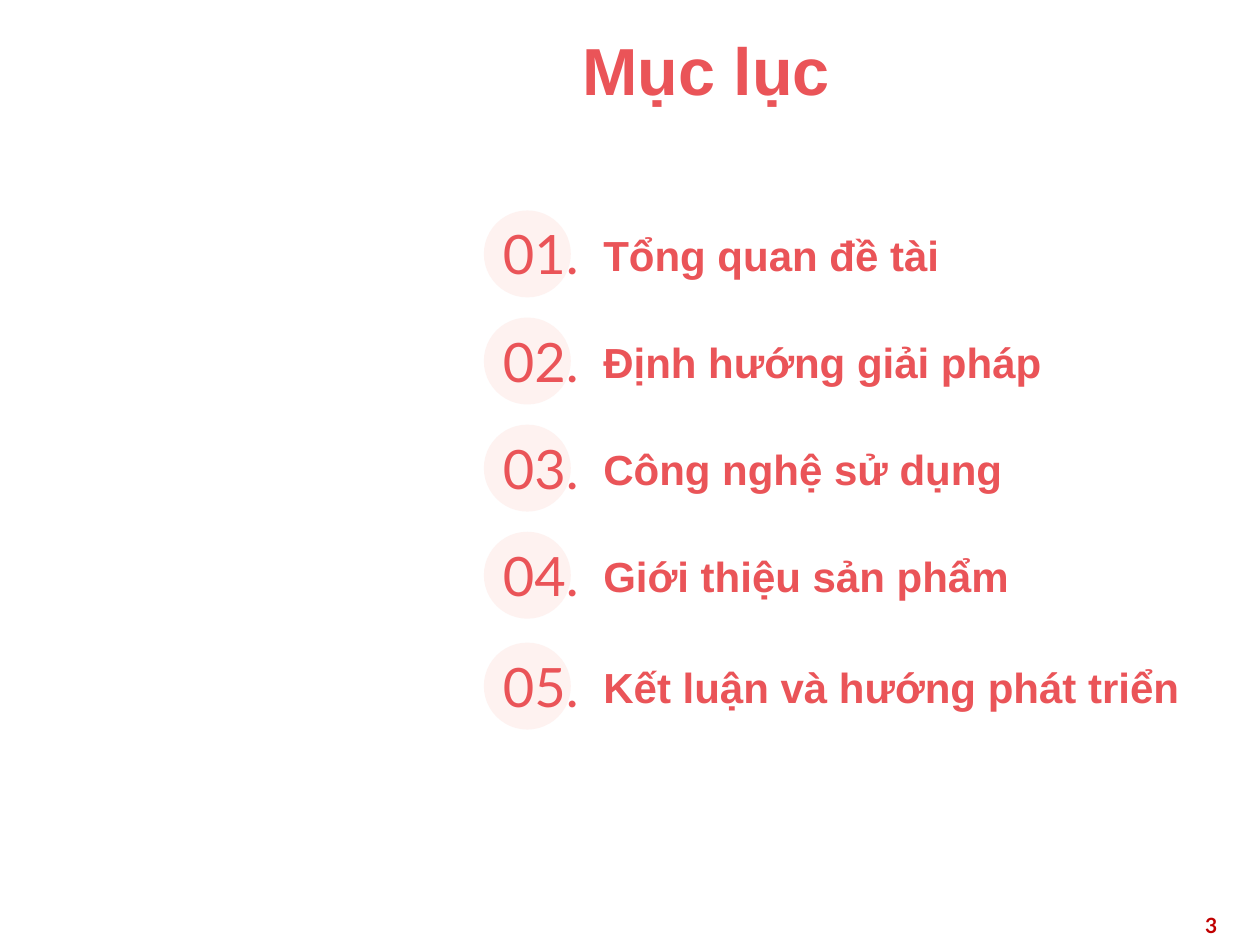
from dataclasses import dataclass

from pptx import Presentation
from pptx.dml.color import RGBColor
from pptx.enum.shapes import MSO_SHAPE
from pptx.enum.text import MSO_ANCHOR, PP_ALIGN
from pptx.util import Emu, Pt

PX = 9144


@dataclass(frozen=True)
class Theme:
    """Colours, fonts and type sizes of the deck."""
    accent: str = "EA5458"
    disc: str = "FEF2F0"
    page: str = "C00000"
    heading_font: str = "Arial"
    number_font: str = "Lato"
    title_size: int = 38
    number_size: int = 31
    label_size: int = 24
    page_size: int = 12


THEME = Theme()
TITLE = {"size": Pt(THEME.title_size), "name": THEME.heading_font, "bold": True}
LABEL = {"size": Pt(THEME.label_size), "name": THEME.heading_font, "bold": True}
NUMBER = {"size": Pt(THEME.number_size), "name": THEME.number_font, "bold": False}
PAGE = {"size": Pt(THEME.page_size), "name": THEME.number_font, "bold": True}

ROW_LEFT, ROW_TOP, ROW_STEP, ROW_HEIGHT = 365, 167, 85, 69
LAST_ROW_SHIFT = 3
ENTRIES = [
    ("Tổng quan đề tài", 570),
    ("Định hướng giải pháp", 570),
    ("Công nghệ sử dụng", 570),
    ("Giới thiệu sản phẩm", 570),
    ("Kết luận và hướng phát triển", 616),
]


def emu(box):
    """Turn a box in px into EMU lengths."""
    return [Emu(v * PX) for v in box]


def add_text(slide, box, text, font, color=THEME.accent, align=PP_ALIGN.LEFT,
             anchor=MSO_ANCHOR.TOP, inset=10):
    """Place one line of formatted text in the box."""
    tf = slide.shapes.add_textbox(*emu(box)).text_frame
    frame = {
        "word_wrap": True,
        "vertical_anchor": anchor,
        "margin_left": Emu(10 * PX),
        "margin_right": Emu(10 * PX),
        "margin_top": Emu(inset * PX),
        "margin_bottom": Emu(inset * PX),
    }
    for key, value in frame.items():
        setattr(tf, key, value)
    p = tf.paragraphs[0]
    p.alignment = align
    r = p.add_run()
    r.text = text
    for key, value in font.items():
        setattr(r.font, key, value)
    r.font.color.rgb = RGBColor.from_string(color)


def add_entry(slide, box, number, label):
    """Draw one contents row: disc, number and label."""
    left, top, width, height = box
    sp = slide.shapes.add_shape(MSO_SHAPE.OVAL, *emu((left + 19, top, height, height)))
    sp.shadow.inherit = False
    sp.fill.solid()
    sp.fill.fore_color.rgb = RGBColor.from_string(THEME.disc)
    sp.line.fill.background()
    add_text(slide, (left + 104, top + 7, width - 104, 56), label, LABEL,
             anchor=MSO_ANCHOR.MIDDLE)
    add_text(slide, (left, top + 6, 104, 56), f"{number:02d}.", NUMBER,
             align=PP_ALIGN.RIGHT, anchor=MSO_ANCHOR.MIDDLE)


def add_contents(slide, left, top):
    """Stack the contents rows downwards from the given corner."""
    for i, (label, width) in enumerate(ENTRIES):
        shift = LAST_ROW_SHIFT if i == len(ENTRIES) - 1 else 0
        box = (left, top + i * ROW_STEP + shift, width, ROW_HEIGHT)
        add_entry(slide, box, i + 1, label)


def main():
    """Build and save the contents slide."""
    prs = Presentation()
    prs.slide_width, prs.slide_height = emu((1000, 750))
    slide = prs.slides.add_slide(prs.slide_layouts[6])
    add_text(slide, (751, 719, 225, 40), "3", PAGE, THEME.page,
             PP_ALIGN.RIGHT, inset=5)
    add_text(slide, (134, 13, 853, 82), "Mục lục", TITLE, align=PP_ALIGN.CENTER)
    add_contents(slide, ROW_LEFT, ROW_TOP)
    prs.save("out.pptx")


if __name__ == "__main__":
    main()
